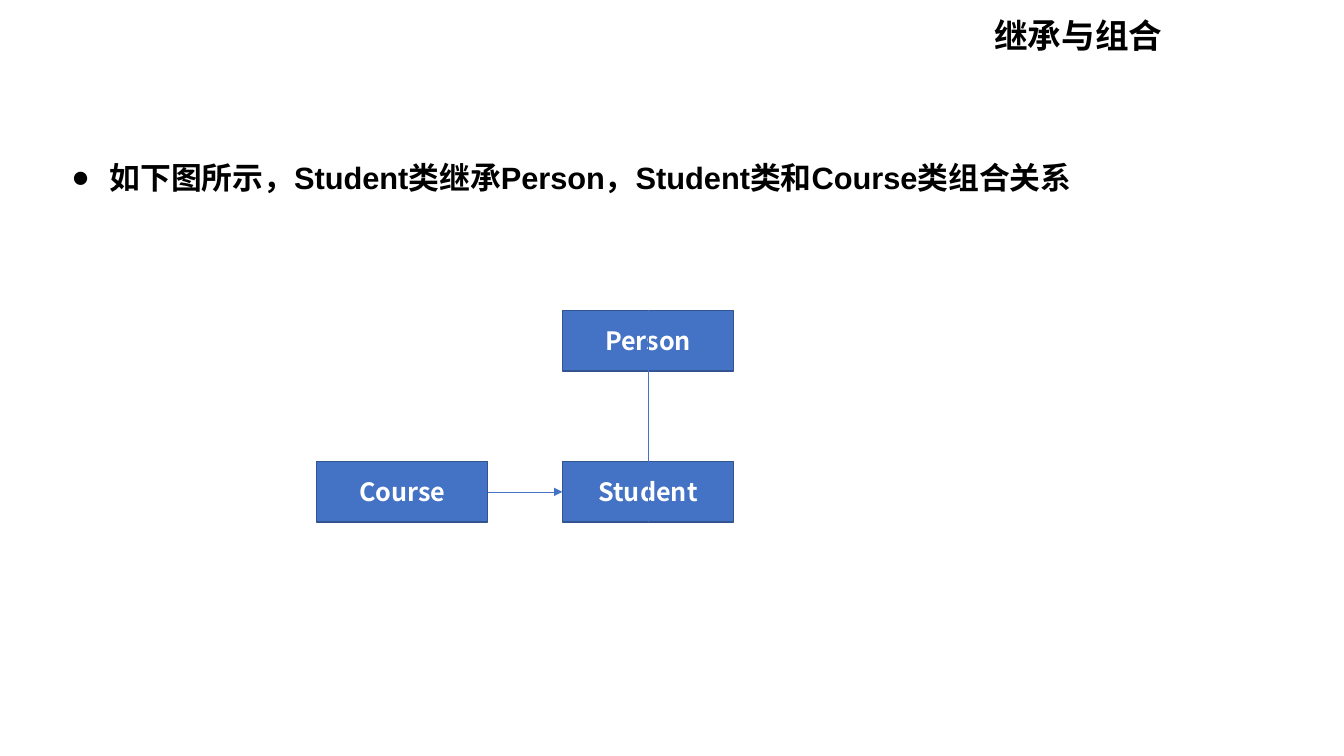
from lxml import etree
from pptx import Presentation
from pptx.dml.color import RGBColor
from pptx.enum.shapes import MSO_CONNECTOR, MSO_SHAPE
from pptx.enum.text import MSO_ANCHOR, MSO_AUTO_SIZE, PP_ALIGN
from pptx.oxml.ns import qn
from pptx.util import Pt

RECT = MSO_SHAPE.RECTANGLE
LINE = MSO_CONNECTOR.STRAIGHT
MID = MSO_ANCHOR.MIDDLE
GROW = MSO_AUTO_SIZE.SHAPE_TO_FIT_TEXT
LEFT, MIDST, RIGHT = PP_ALIGN.LEFT, PP_ALIGN.CENTER, PP_ALIGN.RIGHT

HUES = {"ink": "000000", "white": "FFFFFF", "fill": "4472C4", "edge": "325491"}
HAN, LATIN = "Noto Sans CJK SC", "Arial"

TITLE = "继承与组合"
POINT = "如下图所示，Student类继承Person，Student类和Course类组合关系"
NODES = {"Course": (0, 1), "Student": (1, 1), "Person": (1, 0)}
LINKS = [("Course", 3, "Student", 1, True), ("Student", 2, "Person", 0, False)]

ORIGIN = (226.08, 221.76)
STEP = (175.68, 108)
SIZE = (122.4, 43.2)
INDENT = 27.36


def hue(name):
    return RGBColor.from_string(HUES[name])


def write(frame, text, size, face, tone, align):
    para = frame.paragraphs[0]
    para.alignment = align
    run = para.add_run()
    run.text = text
    font = run.font
    font.size, font.bold, font.name = Pt(size), True, face
    font.color.rgb = hue(tone)
    etree.SubElement(run._r.get_or_add_rPr(), qn("a:ea"), typeface=HAN)
    return para


def add_box(slide, *place):
    return slide.shapes.add_textbox(*map(Pt, place)).text_frame


def add_node(slide, name, col, row):
    left, top = ORIGIN[0] + col * STEP[0], ORIGIN[1] + row * STEP[1]
    node = slide.shapes.add_shape(RECT, *map(Pt, (left, top, *SIZE)))
    node.shadow.inherit = False
    node.fill.solid()
    node.fill.fore_color.rgb = hue("fill")
    node.line.color.rgb = hue("edge")
    node.line.width = Pt(1)
    node.text_frame.vertical_anchor = MID
    write(node.text_frame, name, 18, HAN, "white", MIDST)
    return node


def add_link(slide, start, out, end, into, arrow):
    link = slide.shapes.add_connector(LINE, 0, 0, 0, 0)
    link.begin_connect(start, out)
    link.end_connect(end, into)
    link.line.color.rgb = hue("fill")
    link.line.width = Pt(0.5)
    if arrow:
        etree.SubElement(link.line._get_or_add_ln(), qn("a:tailEnd"), type="triangle")
    etree.SubElement(link._element.spPr, qn("a:effectLst"))


def main():
    deck = Presentation()
    deck.slide_width, deck.slide_height = Pt(960), Pt(540)
    slide = deck.slides.add_slide(deck.slide_layouts[6])

    head = add_box(slide, 701.28, 7.2, 136.08, 36.72)
    head.word_wrap = False
    head.auto_size = GROW
    write(head, TITLE, 24, HAN, "ink", RIGHT)

    nodes = {name: add_node(slide, name, *cell) for name, cell in NODES.items()}
    for start, out, end, into, arrow in LINKS:
        add_link(slide, nodes[start], out, nodes[end], into, arrow)

    body = add_box(slide, 43.92, 104.4, 800.64, 101.52)
    body.word_wrap = True
    para = write(body, POINT, 22, LATIN, "ink", LEFT)
    props = para._p.get_or_add_pPr()
    props.set("marL", str(Pt(INDENT)))
    props.set("indent", str(-Pt(INDENT)))
    etree.SubElement(props, qn("a:buFont"), typeface=LATIN)
    etree.SubElement(props, qn("a:buChar"), char="●")
    para.line_spacing = 1.2

    deck.save("out.pptx")


if __name__ == "__main__":
    main()
